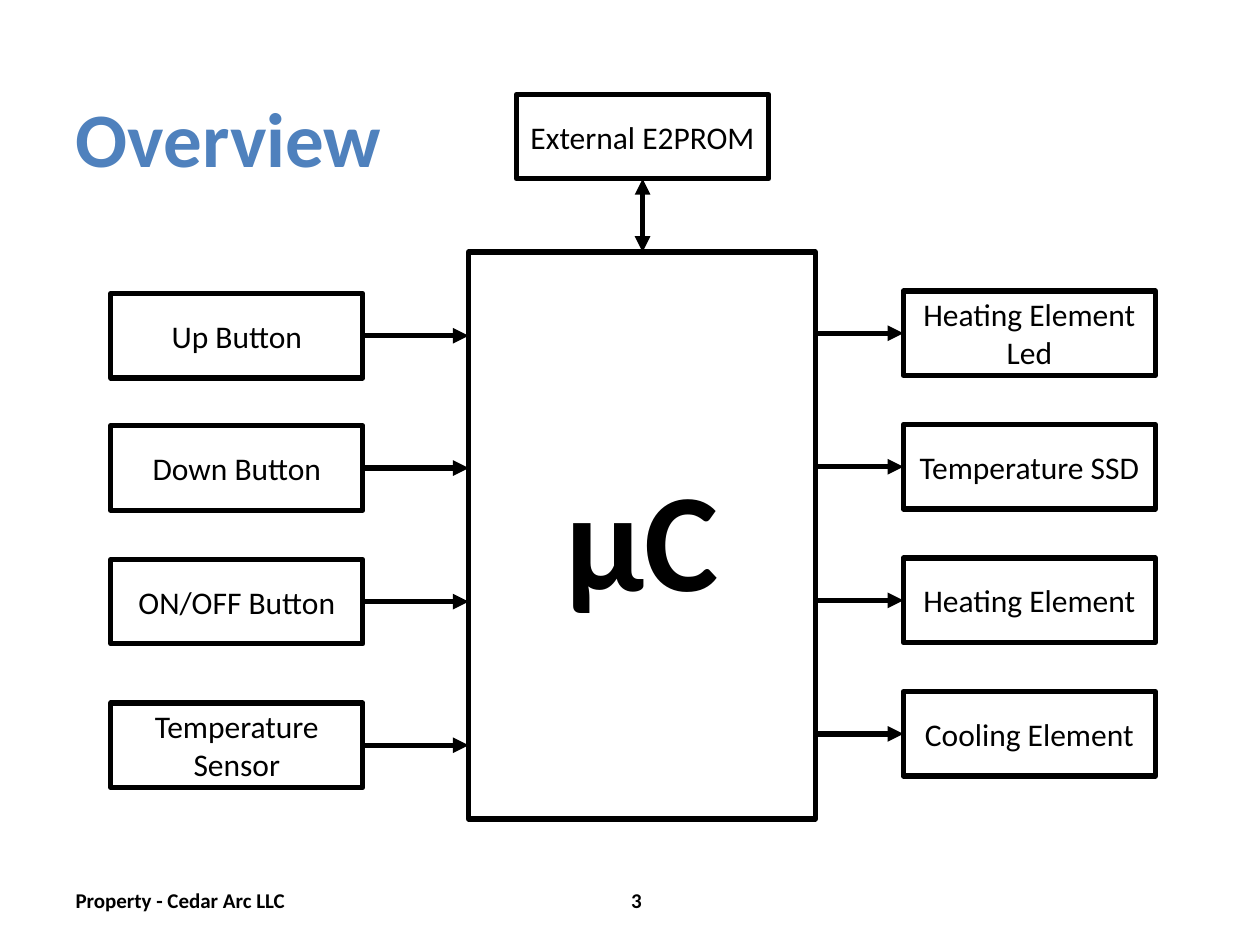
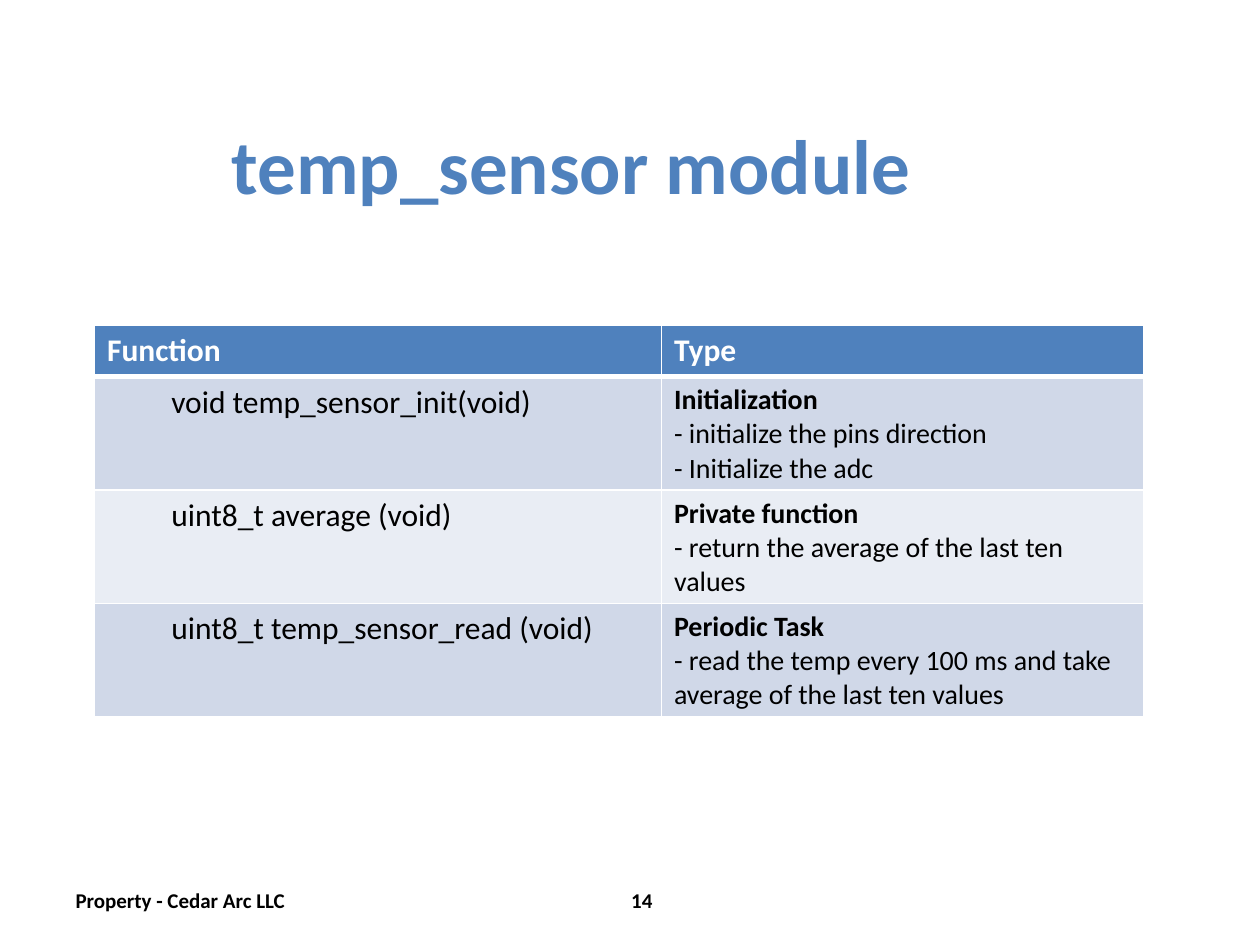
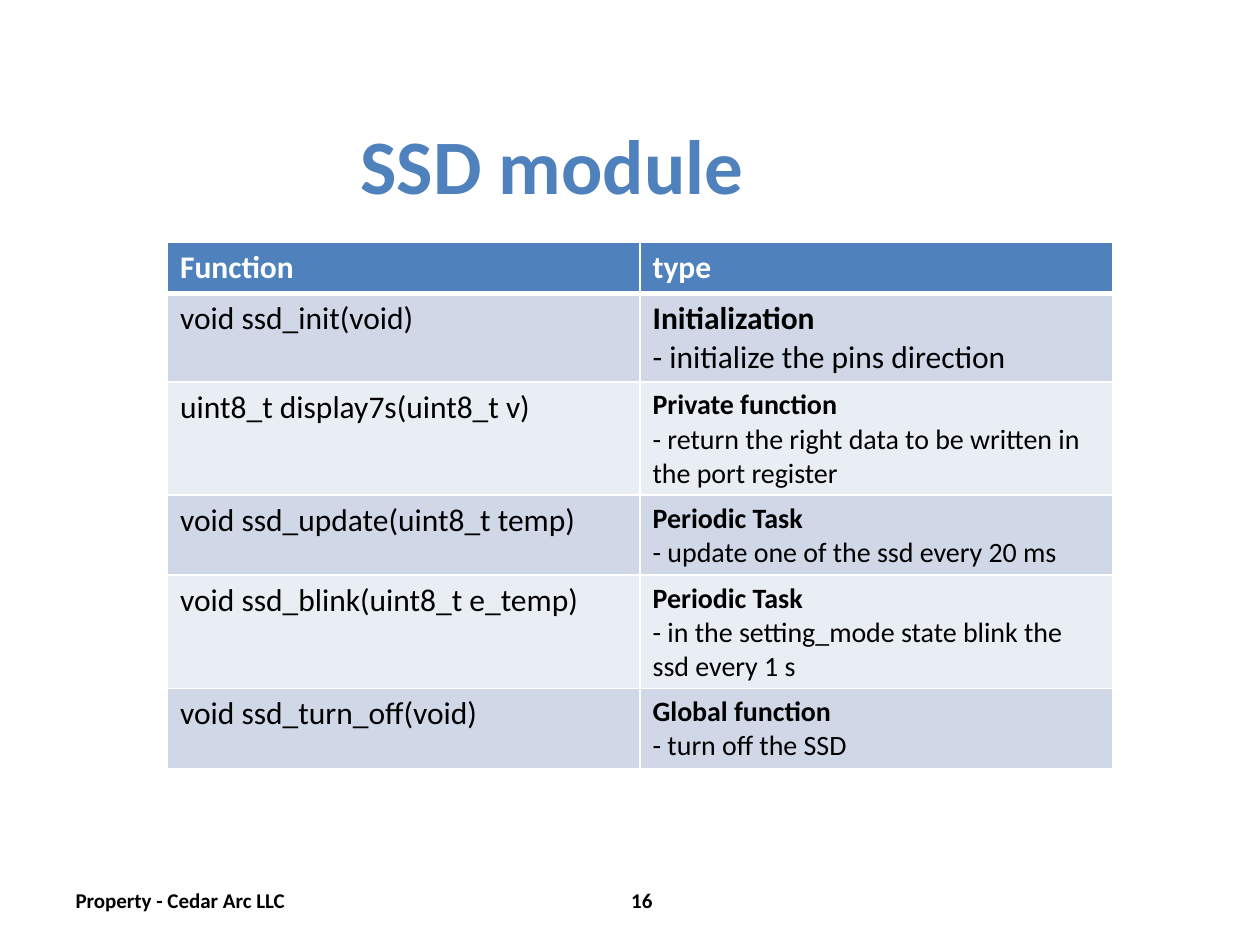
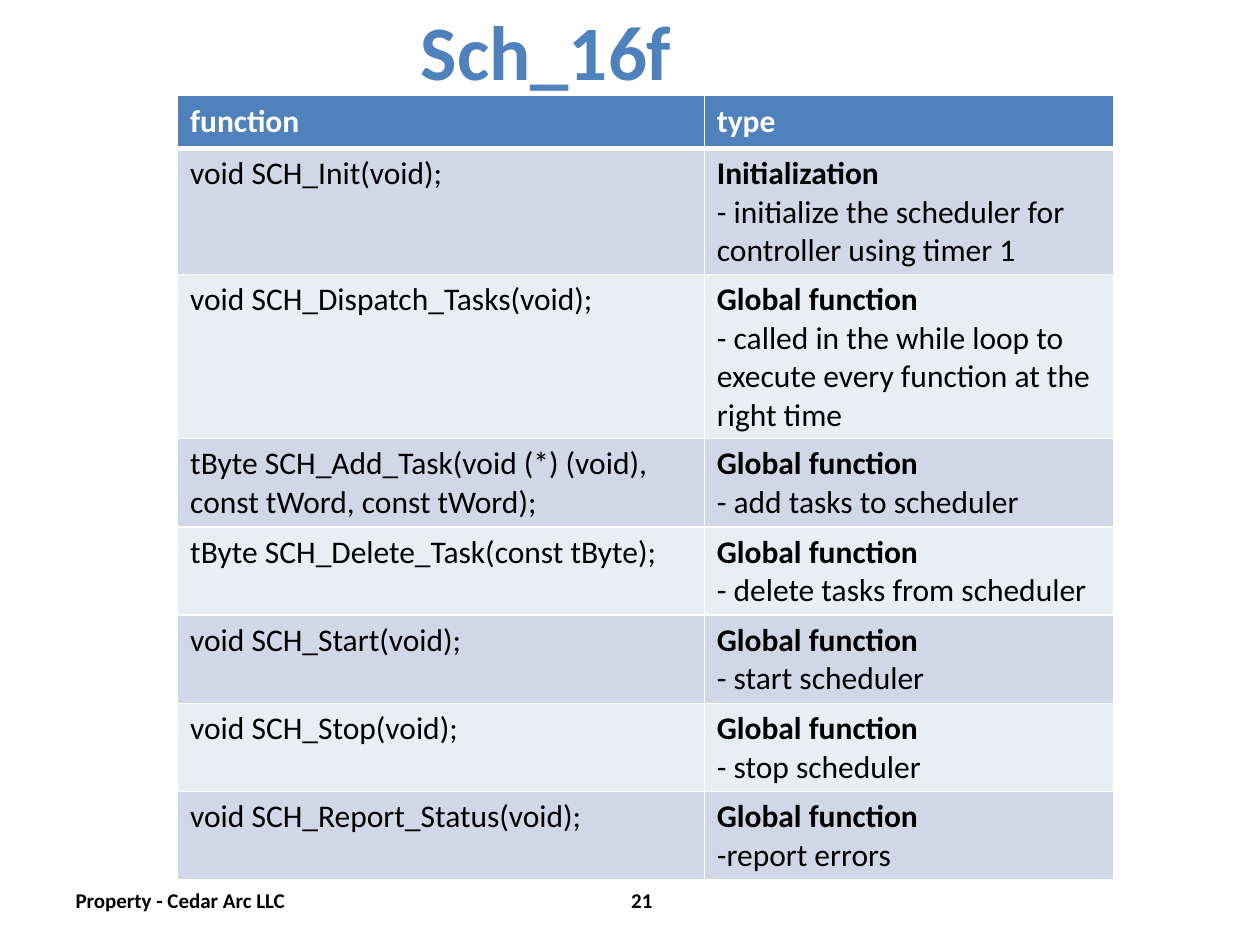
from lxml.etree import SubElement as Sub
from pptx import Presentation
from pptx.dml.color import RGBColor as RGB
from pptx.enum.shapes import MSO_CONNECTOR as LINK, MSO_SHAPE as SHAPE
from pptx.enum.text import MSO_ANCHOR as ANCHOR, PP_ALIGN as ALIGN
from pptx.oxml.ns import qn
from pptx.util import Inches, Pt


class Theme:
    font = "Calibri"
    blue = RGB.from_string("4F81BD")
    black = RGB.from_string("000000")
    white = RGB.from_string("FFFFFF")
    bands = [RGB.from_string("D0D8E8"), RGB.from_string("E9EDF4")]
    title, chip, body, small, foot = Pt(44), Pt(80), Pt(18), Pt(16), Pt(12)
    line, rule, thick = Pt(3), Pt(1), Pt(3)


def write(frame, text, size, color=Theme.black, bold=False, align=ALIGN.LEFT):
    """Fill a text frame with one paragraph per line of text."""
    frame.text = text
    frame.word_wrap = True
    for para in frame.paragraphs:
        para.alignment = align
        font = para.font
        font.name, font.size, font.bold = Theme.font, size, bold
        font.color.rgb = color


def label(slide, text, left, top, width, height, size, color=Theme.black):
    """Add a bold text box without margins."""
    box = slide.shapes.add_textbox(*map(Inches, (left, top, width, height)))
    frame = box.text_frame
    frame.margin_left = frame.margin_right = frame.margin_bottom = 0
    frame.margin_top = 0
    write(frame, text, size, color, bold=True)
    return frame


prs = Presentation()
prs.slide_width, prs.slide_height = Inches(10), Inches(7.5)

# Title, its left, top and width, then the page number
heads = [
    ("Overview", 0.6, 0.72, 2.6, 3),
    ("temp_sensor module", 1.84, 0.93, 5.92, 14),
    ("SSD module", 2.86, 0.93, 4.25, 16),
    ("Sch_16f", 3.34, 0.03, 5.92, 21),
]
slides = []
for title, left, top, width, page in heads:
    slide = prs.slides.add_slide(prs.slide_layouts[6])
    label(slide, title, left, top, width, 0.75, Theme.title, Theme.blue)
    notes = [("Property - Cedar Arc LLC", 0.6, 2), (str(page), 5.01, 0.3)]
    for text, x, wide in notes:
        foot = label(slide, text, x, 7.07, wide, 0.19, Theme.foot)
        foot.paragraphs[0].line_spacing = Pt(12.4)
    slides.append(slide)

# Block diagram
shapes = slides[0].shapes
chip_x, chip_y, chip_w, chip_h = 3.72, 2, 2.75, 4.5
box_w, box_h = 2, 0.67
in_x, out_x = 0.88, 7.17
mem_x, mem_y = 4.1, 0.75
inputs = [("Up Button", 2.33), ("Down Button", 3.38),
          ("ON/OFF Button", 4.44), ("Temperature\nSensor", 5.58)]
outputs = ["Heating Element\nLed", "Temperature SSD",
           "Heating Element", "Cooling Element"]

boxes = [("µC", chip_x, chip_y, chip_w, chip_h),
         ("External E2PROM", mem_x, mem_y, box_w, box_h)]
mid = mem_x + box_w / 2
arrows = [(mid, mem_y + box_h, mid, chip_y, ("headEnd", "tailEnd"))]
for text, y in inputs:
    boxes.append((text, in_x, y, box_w, box_h))
    mid = y + box_h / 2
    arrows.append((in_x + box_w, mid, chip_x, mid, ("tailEnd",)))
for row, text in enumerate(outputs):
    y = 2.31 + 1.06 * row
    boxes.append((text, out_x, y, box_w, box_h))
    mid = y + box_h / 2
    arrows.append((chip_x + chip_w, mid, out_x, mid, ("tailEnd",)))

for text, *place in boxes:
    box = shapes.add_shape(SHAPE.RECTANGLE, *map(Inches, place))
    box.shadow.inherit = False
    box.fill.background()
    box.line.color.rgb, box.line.width = Theme.black, Theme.line
    frame = box.text_frame
    frame.margin_left = frame.margin_right = 0
    frame.margin_top = frame.margin_bottom = 0
    frame.vertical_anchor = ANCHOR.MIDDLE
    core = text == "µC"
    write(frame, text, Theme.chip if core else Theme.body,
          bold=core, align=ALIGN.CENTER)

for *ends, tips in arrows:
    arrow = shapes.add_connector(LINK.STRAIGHT, *map(Inches, ends))
    arrow.line.color.rgb, arrow.line.width = Theme.black, Theme.line
    for tip in tips:
        Sub(arrow.line._get_or_add_ln(), qn("a:" + tip), type="triangle")
    Sub(arrow._element.spPr, qn("a:effectLst"))

# Each table: left, top, column widths, inset of the code, header, rows.
# Each row: height, type size of the details, code, kind, details.
body, small = Theme.body, Theme.small
tables = [
    (0.75, 2.58, (4.5, 3.83), 0.61, (0.41, "Function", "Type"), [
        (0.9, small, "void temp_sensor_init(void)", "Initialization",
         "- initialize the pins direction\n- Initialize the adc"),
        (0.9, small, "uint8_t average (void)", "Private function",
         "- return the average of the last ten values"),
        (0.9, small, "uint8_t temp_sensor_read (void)", "Periodic Task",
         "- read the temp every 100 ms and take average of the last ten values"),
    ]),
    (1.33, 1.92, (3.75, 3.75), 0.1, (0.41, "Function", "type"), [
        (0.7, body, "void ssd_init(void)", "Initialization",
         "- initialize the pins direction"),
        (0.9, small, "uint8_t display7s(uint8_t v)", "Private function",
         "- return the right data to be written in the port register"),
        (0.63, small, "void ssd_update(uint8_t temp)", "Periodic Task",
         "- update one of the ssd every 20 ms"),
        (0.9, small, "void ssd_blink(uint8_t e_temp)", "Periodic Task",
         "- in the setting_mode state blink the ssd every 1 s"),
        (0.63, small, "void ssd_turn_off(void)", "Global function",
         "- turn off the SSD"),
    ]),
    (1.41, 0.76, (4.18, 3.25), 0.1, (0.42, "function", "type"), [
        (1, body, "void SCH_Init(void);", "Initialization",
         "- initialize the scheduler for\ncontroller using timer 1"),
        (1.3, body, "void SCH_Dispatch_Tasks(void);", "Global function",
         "- called in the while loop to execute every function at the right time"),
        (0.7, body,
         "tByte SCH_Add_Task(void (*) (void), const tWord, const tWord);",
         "Global function", "- add tasks to scheduler"),
        (0.7, body, "tByte SCH_Delete_Task(const tByte);",
         "Global function", "- delete tasks from scheduler"),
        (0.7, body, "void SCH_Start(void);", "Global function",
         "- start scheduler"),
        (0.7, body, "void SCH_Stop(void);", "Global function",
         "- stop scheduler"),
        (0.7, body, "void SCH_Report_Status(void);", "Global function",
         "-report errors"),
    ]),
]

for slide, (left, top, widths, inset, header, rows) in zip(slides[1:], tables):
    tall = [header[0]] + [row[0] for row in rows]
    size = map(Inches, (left, top, sum(widths), sum(tall)))
    grid = slide.shapes.add_table(len(tall), 2, *size).table
    for col, width in zip(grid.columns, widths):
        col.width = Inches(width)

    for at, height in enumerate(tall):
        grid.rows[at].height = Inches(height)
        for cell in grid.rows[at].cells:
            props = cell._tc.get_or_add_tcPr()
            for side in "LRTB":
                heavy = (at, side) in ((0, "B"), (1, "T"))
                width = Theme.thick if heavy else Theme.rule
                edge = Sub(props, qn("a:ln" + side), w=str(width))
                fill = Sub(edge, qn("a:solidFill"))
                Sub(fill, qn("a:srgbClr"), val=str(Theme.white))
            cell.fill.solid()
            cell.fill.fore_color.rgb = (
                Theme.bands[(at - 1) % 2] if at else Theme.blue)

    for col, text in enumerate(header[1:]):
        write(grid.cell(0, col).text_frame, text, body, Theme.white, bold=True)
    for at, (_, size, code, kind, details) in enumerate(rows, 1):
        cell = grid.cell(at, 0)
        cell.margin_left = Inches(inset)
        write(cell.text_frame, code, body)
        cell = grid.cell(at, 1)
        if size == small:
            cell.vertical_anchor = ANCHOR.MIDDLE
        write(cell.text_frame, kind + "\n" + details, size)
        cell.text_frame.paragraphs[0].font.bold = True

prs.save("out.pptx")
